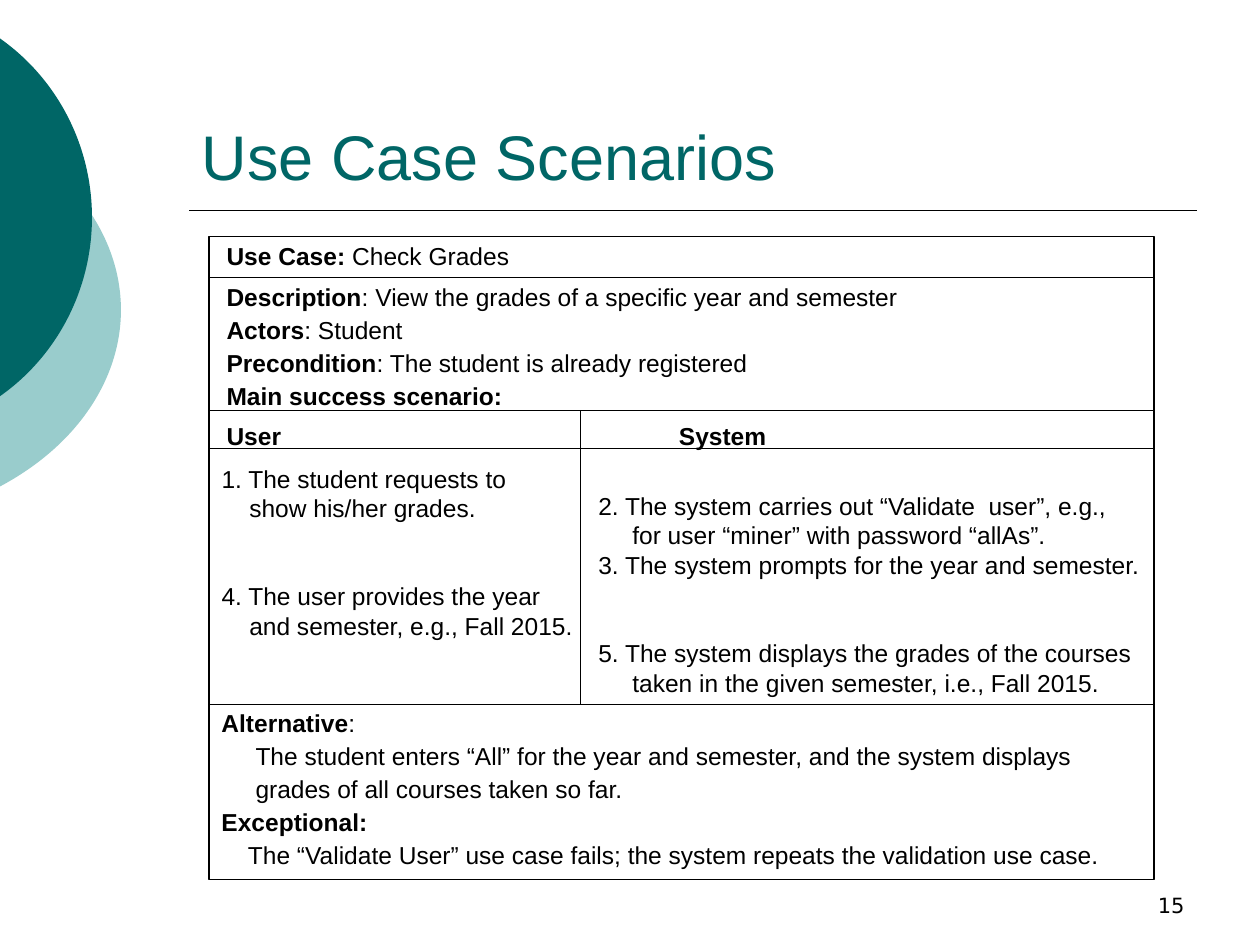
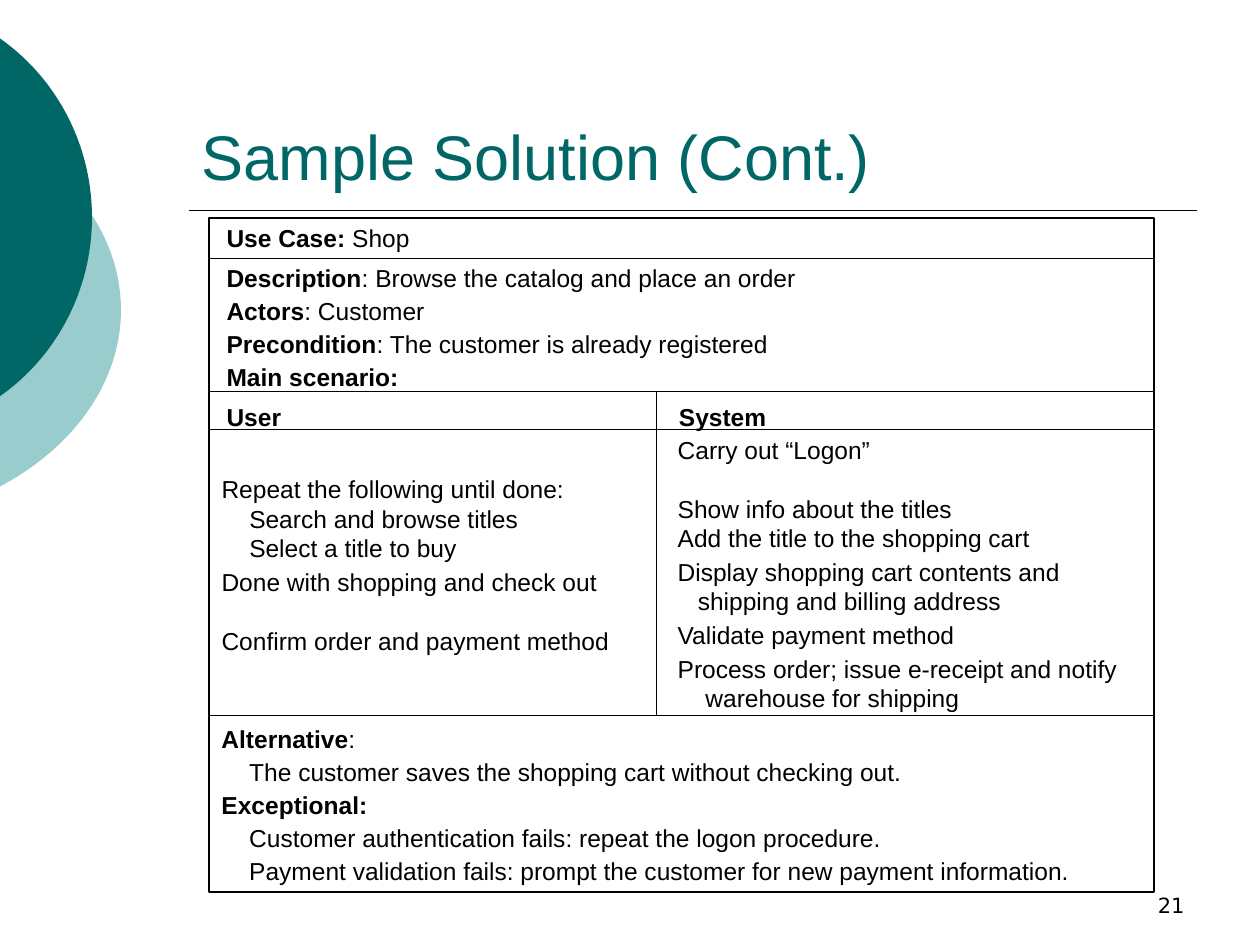
from dataclasses import dataclass

from lxml.etree import SubElement
from pptx import Presentation
from pptx.dml.color import RGBColor
from pptx.enum.shapes import MSO_CONNECTOR as Connector, MSO_SHAPE as Shape
from pptx.enum.text import MSO_ANCHOR as Anchor, MSO_AUTO_SIZE as AutoSize, PP_ALIGN as Align
from pptx.oxml.ns import qn
from pptx.util import Inches, Pt

COLORS = {"dark": "006666", "light": "99CCCC", "ink": "000000"}
FONT, NUMBER_FONT = "Arial", "DejaVu Sans"
TEXT_SIZE = 14
LINE = 16.85               # points from one step line to the next
TIGHT, BEFORE = 0.6, 8.8   # line spacing and space before, in headings and notes
FRAME_LEFT, FRAME_WIDTH = 1.66, 7.5
TITLE_ROW, HEAD_ROW, STEPS_ROW = 0.32, 1.38, 1.68  # row edges below the frame's top
SYSTEM_TAB = 3.59


@dataclass
class Line:
    """One paragraph: bold text, then plain text."""
    plain: str = ""
    bold: str = ""
    indent: float = 0
    gap: float = 0  # extra points above


def color(name):
    return RGBColor.from_string(COLORS[name])


def add_span(para, text, size=TEXT_SIZE, font=FONT, ink="ink", bold=False):
    span = para.add_run()
    span.text = text
    span.font.size, span.font.name, span.font.bold = Pt(size), font, bold
    span.font.color.rgb = color(ink)


def add_box(page, left, top, width, height):
    box = page.shapes.add_textbox(*map(Inches, (left, top, width, height)))
    box.text_frame.word_wrap = True
    return box.text_frame


def add_rule(page, x1, y1, x2, y2, weight=0.75):
    rule = page.shapes.add_connector(Connector.STRAIGHT, *map(Inches, (x1, y1, x2, y2)))
    rule.line.color.rgb = color("ink")
    rule.line.width = Pt(weight)
    SubElement(rule._element.spPr, qn("a:effectLst"))


def fill_lines(frame, lines, spacing, before=0):
    for index, line in enumerate(lines):
        para = frame.paragraphs[0] if index == 0 else frame.add_paragraph()
        para.line_spacing = spacing
        para.space_before = Pt(before + line.gap)
        properties = para._p.get_or_add_pPr()
        if line.indent:
            properties.set("marL", str(Inches(line.indent)))
            properties.set("indent", "0")
        if "\t" in line.bold:
            tabs = SubElement(properties, qn("a:tabLst"))
            SubElement(tabs, qn("a:tab"), pos=str(Inches(SYSTEM_TAB)), algn="l")
        if line.bold:
            add_span(para, line.bold, bold=True)
        if line.plain:
            add_span(para, line.plain)


def add_disc(page, left, top, width, height, fill):
    disc = page.shapes.add_shape(Shape.OVAL, *map(Inches, (left, top, width, height)))
    disc.shadow.inherit = False
    disc.fill.solid()
    disc.fill.fore_color.rgb = color(fill)
    disc.line.fill.background()


def add_page(deck, title, number):
    page = deck.slides.add_slide(deck.slide_layouts[5])
    add_disc(page, -3.54, 0.75, 4.5, 3.42, "light")
    add_disc(page, -2.65, 0, 3.38, 3.45, "dark")
    add_rule(page, 1.5, 1.67, 9.5, 1.67, 1)

    frame = add_box(page, 7.17, 6.83, 2.33, 0.5)
    frame.vertical_anchor = Anchor.BOTTOM
    frame.paragraphs[0].alignment = Align.RIGHT
    add_span(frame.paragraphs[0], number, 12, NUMBER_FONT)

    heading = page.shapes.title
    heading.left, heading.top, heading.width, heading.height = map(Inches, (1.5, 0.33, 8, 1.25))
    frame = heading.text_frame
    frame.auto_size, frame.vertical_anchor = AutoSize.NONE, Anchor.BOTTOM
    frame.paragraphs[0].alignment = Align.LEFT
    add_span(frame.paragraphs[0], title, 36, ink="dark")
    return page


def add_grid(page, top, height, divider, steps_end):
    """Outline the use case; divider and steps_end are measured from its corner."""
    outline = page.shapes.add_shape(
        Shape.RECTANGLE, *map(Inches, (FRAME_LEFT, top, FRAME_WIDTH, height)))
    outline.shadow.inherit = False
    outline.fill.background()
    outline.line.color.rgb = color("ink")
    outline.line.width = Pt(0.75)
    for row in (TITLE_ROW, HEAD_ROW, STEPS_ROW, steps_end):
        add_rule(page, FRAME_LEFT, top + row, FRAME_LEFT + FRAME_WIDTH, top + row)
    x = FRAME_LEFT + divider
    add_rule(page, x, top + HEAD_ROW, x, top + steps_end)


def add_heading(page, top, name, description, actors, precondition, scenario):
    lines = [
        Line(name, "Use Case: "),
        Line(f": {description}", "Description", gap=4),
        Line(f": {actors}", "Actors"),
        Line(f": {precondition}", "Precondition"),
        Line(bold=scenario),
        Line(bold="User\tSystem", gap=4),
    ]
    fill_lines(add_box(page, FRAME_LEFT + 0.04, top + 0.07, 7.43, 1.66), lines, TIGHT, BEFORE)


def add_steps(page, left, top, width, height, lines):
    frame = add_box(page, left, top, width, height)
    frame.margin_top = Inches(0.05) + Pt(lines[0].gap)
    fill_lines(frame, lines, Pt(LINE))


def add_notes(page, top, alternative, exceptional):
    lines = [Line(":", "Alternative"), *alternative, Line(bold="Exceptional:"), *exceptional]
    fill_lines(add_box(page, FRAME_LEFT, top, 7.43, 1.29), lines, TIGHT, BEFORE)


def build_check_grades(deck):
    page, top = add_page(deck, "Use Case Scenarios", "15"), 1.88
    add_heading(page, top, "Check Grades", "View the grades of a specific year and semester",
                "Student", "The student is already registered", "Main success scenario:")
    add_steps(page, FRAME_LEFT, top + 1.75, 2.99, 1.74, [
        Line("1. The student requests to"),
        Line("show his/her grades.", indent=0.22),
        Line("4. The user provides the year", gap=2 * LINE),
        Line("and semester, e.g., Fall 2015.", indent=0.22),
    ])
    add_steps(page, 4.65, top + 1.73, 4.51, 1.97, [
        Line("2. The system carries out “Validate  user”, e.g.,", gap=LINE),
        Line("for user “miner” with password “allAs”.", indent=0.27),
        Line("3. The system prompts for the year and semester."),
        Line("5. The system displays the grades of the courses", gap=2 * LINE),
        Line("taken in the given semester, i.e., Fall 2015.", indent=0.27),
    ])
    add_grid(page, top, 5.1, 2.95, 3.71)
    add_notes(page, top + 3.77, [
        Line("The student enters “All” for the year and semester, and the system displays",
             indent=0.27),
        Line("grades of all courses taken so far.", indent=0.27),
    ], [
        Line("The “Validate User” use case fails; the system repeats the validation use case.",
             indent=0.21),
    ])


def build_shop(deck):
    page, top = add_page(deck, "Sample Solution (Cont.)", "21"), 1.73
    add_heading(page, top, "Shop", "Browse the catalog and place an order",
                "Customer", "The customer is already registered", "Main scenario:")
    add_steps(page, FRAME_LEFT, top + 1.75, 3.49, 1.77, [
        Line("Repeat the following until done:", gap=LINE),
        Line("Search and browse titles", indent=0.22),
        Line("Select a title to buy", indent=0.22),
        Line("Done with shopping and check out", gap=2.4),
        Line("Confirm order and payment method", gap=LINE),
    ])
    add_steps(page, 5.28, top + 1.67, 3.79, 2.3, [
        Line("Carry out “Logon”"),
        Line("Show info about the titles", gap=LINE),
        Line("Add the title to the shopping cart"),
        Line("Display shopping cart contents and", gap=2.4),
        Line("shipping and billing address", indent=0.16),
        Line("Validate payment method", gap=2.4),
        Line("Process order; issue e-receipt and notify", gap=2.4),
        Line("warehouse for shipping", indent=0.22),
    ])
    add_grid(page, top, 5.35, 3.55, 3.95)
    add_notes(page, top + 4.05, [
        Line("The customer saves the shopping cart without checking out.", indent=0.22),
    ], [
        Line("Customer authentication fails: repeat the logon procedure.", indent=0.22),
        Line("Payment validation fails: prompt the customer for new payment information.",
             indent=0.22),
    ])


def main():
    deck = Presentation()
    deck.slide_width, deck.slide_height = Inches(10), Inches(7.5)
    build_check_grades(deck)
    build_shop(deck)
    deck.save("out.pptx")


if __name__ == "__main__":
    main()
